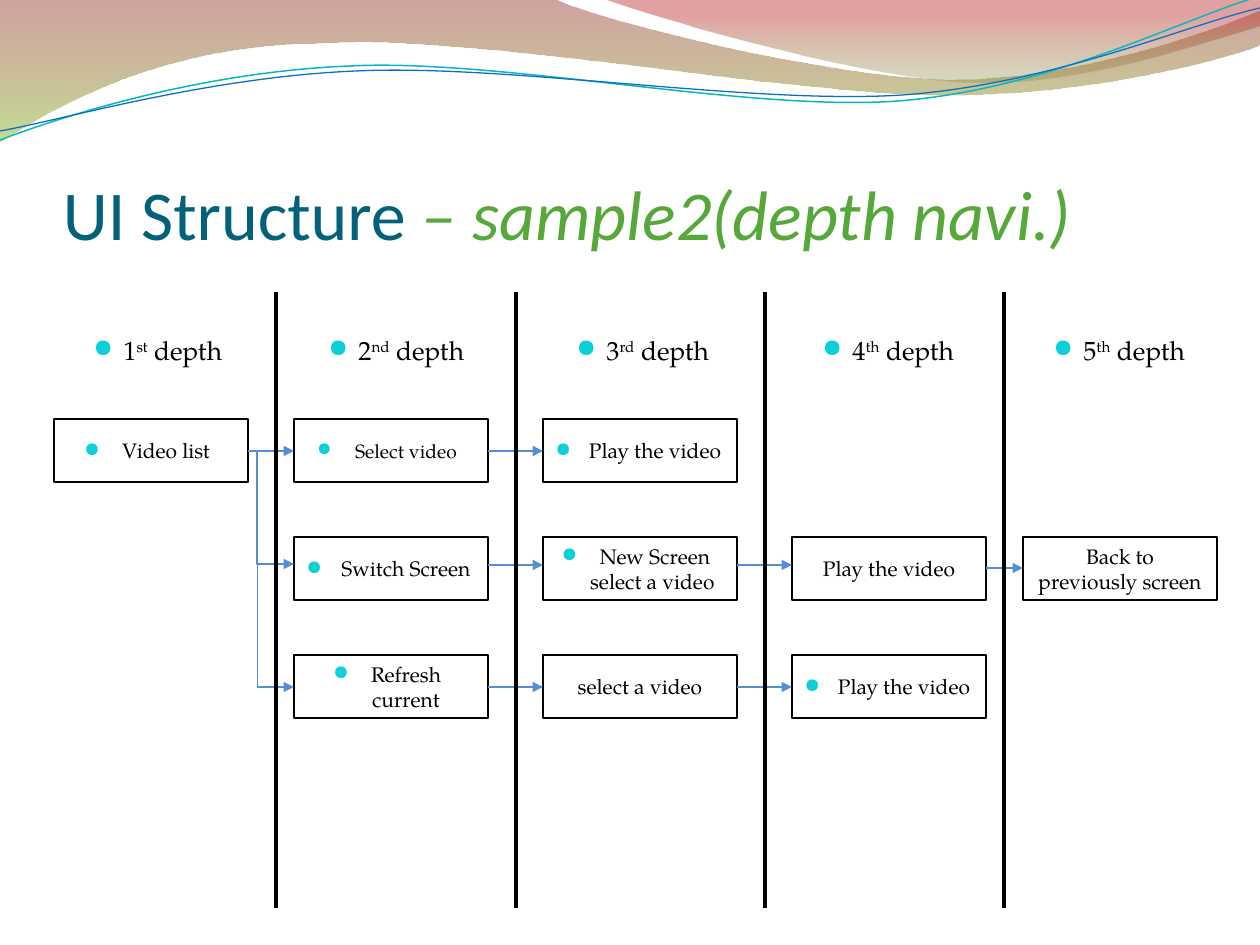
from dataclasses import dataclass
from typing import NamedTuple

from lxml.etree import SubElement
from pptx import Presentation
from pptx.dml.color import RGBColor
from pptx.enum.shapes import MSO_CONNECTOR, MSO_SHAPE
from pptx.enum.text import MSO_ANCHOR, PP_ALIGN
from pptx.oxml.ns import qn
from pptx.util import Pt

EMU_PER_PX = 914400 / 126
COLORS = {
    "black": "000000", "title": "04617B", "sample": "55A839", "bullet": "0BD0D9",
    "arrow": "558ED5", "teal": "09B7BF", "blue": "0F6FC6",
    "rust": "97332F", "lime": "95C138", "red": "BD332F", "olive": "769536",
}
BODY_FONT = "TeX Gyre Pagella"
COLUMNS = (54, 294, 543, 792, 1023)
FIRST_ROW, ROW_STEP = 419, 118
BOX_WIDTH, BOX_HEIGHT = 194, 63


class Stop(NamedTuple):
    position: float
    color: str
    alpha: int


@dataclass
class Wave:
    start: tuple
    segments: list
    stops: tuple = ()
    color: str = ""
    width: float = 0


@dataclass
class Step:
    column: int
    row: int
    label: str
    bulleted: bool = True
    size: int = 12


@dataclass
class Link:
    start: tuple
    end: tuple
    bend: float | None = None


class Heading(NamedTuple):
    left: int
    number: str
    suffix: str


WAVES = [
    Wave((0, 0), [
        [(554, -1)],
        [(600, 21), (837, 79), (955, 79)],
        [(1075, 79), (1207, 33), (1260, 11)],
        [(1261, 45)],
        [(1239, 55), (1096, 96), (940, 95)],
        [(784, 94), (481, 35), (324, 43)],
        [(163, 44), (58, 105), (-1, 142)],
        [(0, 0)],
    ], stops=(Stop(0, "rust", 45), Stop(1, "lime", 55))),
    Wave((604, -1), [
        [(641, 14), (859, 78), (969, 82)],
        [(1079, 87), (1211, 40), (1260, 26)],
        [(1260, 0)],
        [(604, -1)],
    ], stops=(Stop(0.2, "red", 45), Stop(1, "olive", 30))),
    Wave((0, 140), [
        [(60, 117), (199, 72), (349, 66)],
        [(498, 58), (747, 112), (898, 101)],
        [(1050, 89), (1182, 19), (1257, -3)],
    ], color="teal", width=0.85),
    Wave((0, 131), [
        [(59, 121), (207, 77), (357, 71)],
        [(508, 64), (752, 105), (903, 95)],
        [(1053, 84), (1186, 25), (1260, 8)],
    ], color="blue", width=0.75),
]
STEPS = [
    Step(0, 0, "Video list"),
    Step(1, 0, "Select video", size=11),
    Step(2, 0, "Play the video"),
    Step(1, 1, "Switch Screen"),
    Step(2, 1, "New Screen select a video "),
    Step(3, 1, "Play the video", bulleted=False),
    Step(4, 1, "Back to previously screen", bulleted=False),
    Step(1, 2, "Refresh current"),
    Step(2, 2, "select a video", bulleted=False),
    Step(3, 2, "Play the video"),
]
ROW_LINKS = [(0, 451), (1, 451), (1, 565), (2, 565), (3, 568), (1, 687), (2, 687)]
LINKS = [
    Link((COLUMNS[column] + BOX_WIDTH, y), (COLUMNS[column + 1], y))
    for column, y in ROW_LINKS
] + [Link((257, 451), (294, 564), 0), Link((248, 451), (294, 687), 0.2)]
DIVIDERS = (276, 516, 765, 1004)
HEADINGS = [
    Heading(81, "1", "st"), Heading(316, "2", "nd"), Heading(564, "3", "rd"),
    Heading(810, "4", "th"), Heading(1041, "5", "th"),
]


def px(length: float) -> int:
    return round(length * EMU_PER_PX)


def rgb(name: str) -> RGBColor:
    return RGBColor.from_string(COLORS[name])


def bend_segments(shape, segments: list) -> None:
    outline = next(shape._element.iter(qn("a:path")))
    lines = iter(outline.findall(qn("a:lnTo")))
    for controls in segments:
        parts = [next(lines) for _ in controls]
        if len(parts) == 1:
            continue
        curve = SubElement(outline, qn("a:cubicBezTo"))
        outline.replace(parts[0], curve)
        curve.append(parts[0][0])
        for part in parts[1:]:
            curve.append(part[0])
            outline.remove(part)


def draw_wave(page, wave: Wave) -> None:
    points = [(px(x), px(y)) for controls in wave.segments for x, y in controls]
    builder = page.shapes.build_freeform(px(wave.start[0]), px(wave.start[1]))
    builder.add_line_segments(points, close=bool(wave.stops))
    shape = builder.convert_to_shape()
    bend_segments(shape, wave.segments)
    shape.shadow.inherit = False
    if not wave.stops:
        shape.fill.background()
        shape.line.color.rgb = rgb(wave.color)
        shape.line.width = Pt(wave.width)
        return
    shape.line.fill.background()
    shape.fill.gradient()
    shape.fill.gradient_angle = 270
    for target, stop in zip(shape.fill.gradient_stops, wave.stops):
        target.position = stop.position
        target.color.rgb = rgb(stop.color)
    colors = shape._element.spPr.iter(qn("a:srgbClr"))
    for color, stop in zip(colors, wave.stops):
        SubElement(color, qn("a:alpha"), val=str(stop.alpha * 1000))


def style_span(span, size: int, color: str = "black", font: str = BODY_FONT) -> None:
    span.font.size = Pt(size)
    span.font.name = font
    span.font.color.rgb = rgb(color)


def add_bullet(para) -> None:
    properties = para._p.get_or_add_pPr()
    properties.set("marL", str(px(30)))
    properties.set("indent", str(px(-38)))
    color = SubElement(properties, qn("a:buClr"))
    SubElement(color, qn("a:srgbClr"), val=COLORS["bullet"])
    SubElement(properties, qn("a:buSzPct"), val="95000")
    SubElement(properties, qn("a:buFont"), typeface="OpenSymbol")
    SubElement(properties, qn("a:buChar"), char="●")


def draw_title(page) -> None:
    box = page.shapes.add_textbox(px(63), px(97), px(1134), px(158))
    frame = box.text_frame
    frame.word_wrap = True
    frame.vertical_anchor = MSO_ANCHOR.BOTTOM
    frame.margin_left = frame.margin_right = frame.margin_bottom = 0
    frame.text = "UI Structure "
    para = frame.paragraphs[0]
    style_span(para.runs[0], 40, "title", "Calibri")
    sample = para.add_run()
    sample.text = "– sample2(depth navi.)"
    style_span(sample, 40, "sample", "Calibri")
    sample.font.italic = True


def draw_step(page, step: Step) -> None:
    box = page.shapes.add_shape(
        MSO_SHAPE.RECTANGLE, px(COLUMNS[step.column]), px(FIRST_ROW + step.row * ROW_STEP),
        px(BOX_WIDTH), px(BOX_HEIGHT))
    box.shadow.inherit = False
    box.fill.background()
    box.line.color.rgb = rgb("black")
    box.line.width = Pt(1.25)
    frame = box.text_frame
    frame.word_wrap = True
    frame.vertical_anchor = MSO_ANCHOR.MIDDLE
    frame.text = step.label
    para = frame.paragraphs[0]
    para.alignment = PP_ALIGN.CENTER
    para.space_before = Pt(step.size / 5)
    style_span(para.runs[0], step.size)
    if step.bulleted:
        add_bullet(para)


def draw_line(page, link: Link, color: str, width: float, arrow: bool) -> None:
    kind = MSO_CONNECTOR.STRAIGHT if link.bend is None else MSO_CONNECTOR.ELBOW
    line = page.shapes.add_connector(kind, *map(px, link.start + link.end))
    line.line.color.rgb = rgb(color)
    line.line.width = Pt(width)
    properties = line._element.spPr
    if arrow:
        SubElement(properties.find(qn("a:ln")), qn("a:tailEnd"), type="triangle")
    if link.bend is not None:
        guides = properties.find(qn("a:prstGeom")).get_or_add_avLst()
        SubElement(guides, qn("a:gd"), name="adj1", fmla=f"val {round(link.bend * 100000)}")
    SubElement(properties, qn("a:effectLst"))


def draw_heading(page, heading: Heading) -> None:
    box = page.shapes.add_textbox(px(heading.left), px(328), px(166), px(44))
    box.text_frame.word_wrap = False
    para = box.text_frame.paragraphs[0]
    para.text = heading.number
    para.space_before = Pt(3)
    for text in (heading.suffix, " depth"):
        para.add_run().text = text
    for span in para.runs:
        style_span(span, 15)
    para.runs[1].font._element.set("baseline", "30000")
    add_bullet(para)


def main() -> None:
    deck = Presentation()
    deck.slide_width, deck.slide_height = px(1260), px(945)
    page = deck.slides.add_slide(deck.slide_layouts[6])
    for wave in WAVES:
        draw_wave(page, wave)
    draw_title(page)
    for step in STEPS:
        draw_step(page, step)
    for link in LINKS:
        draw_line(page, link, "arrow", 0.75, True)
    for x in DIVIDERS:
        draw_line(page, Link((x, 292), (x, 908)), "black", 2.5, False)
    for heading in HEADINGS:
        draw_heading(page, heading)
    deck.save("out.pptx")


if __name__ == "__main__":
    main()
